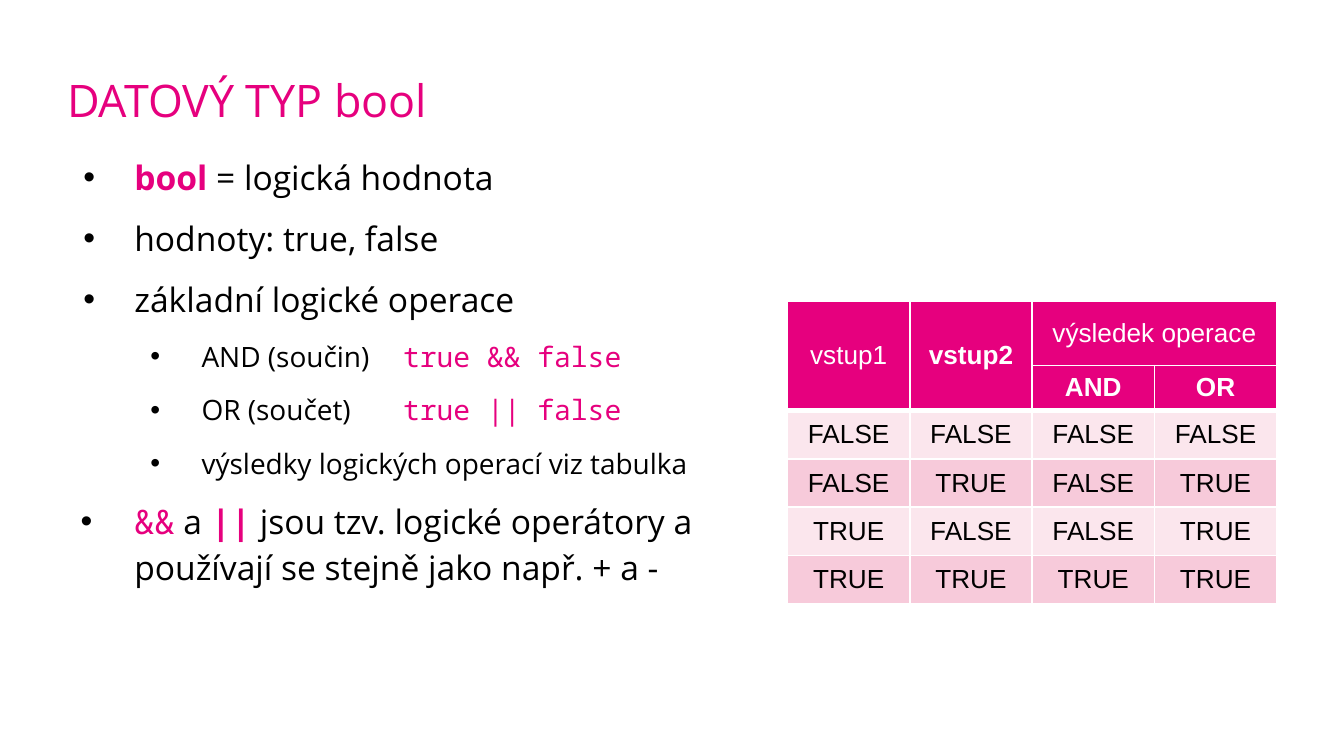
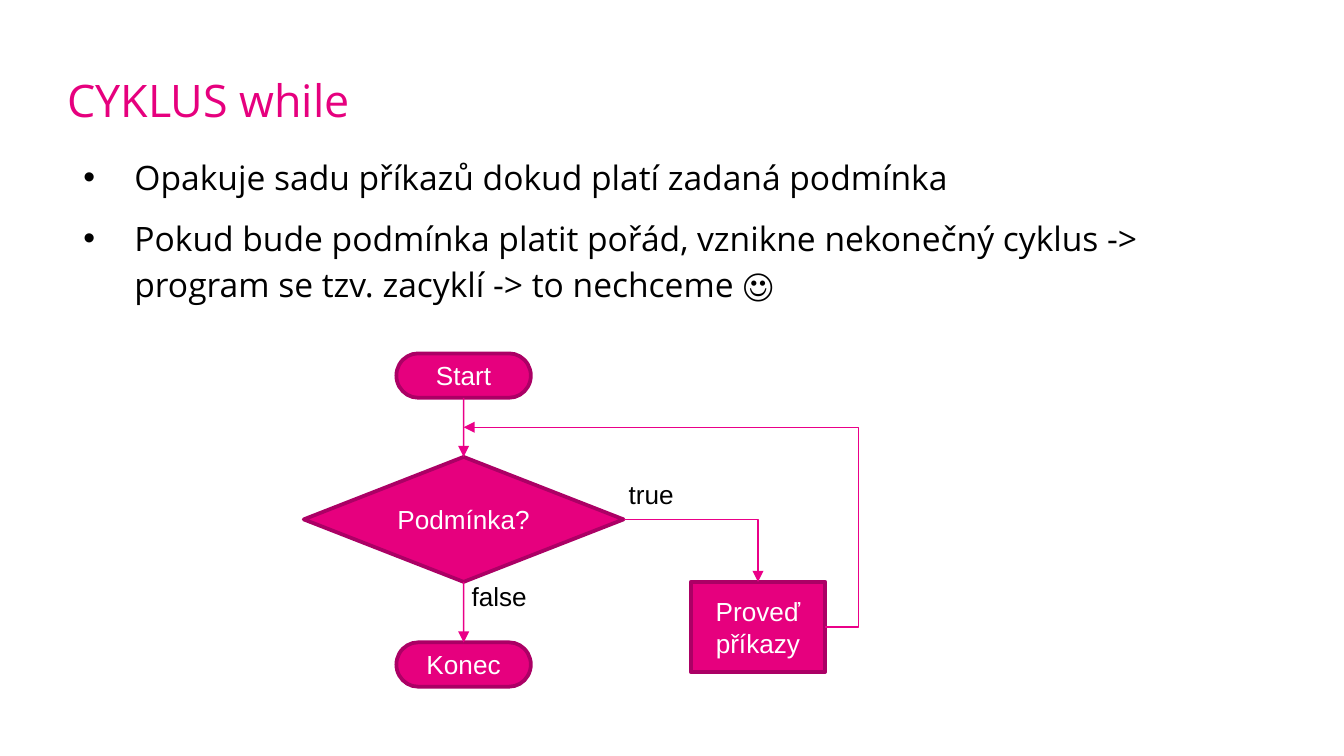
from dataclasses import dataclass

from lxml.etree import SubElement
from pptx import Presentation
from pptx.dml.color import RGBColor
from pptx.enum.shapes import MSO_CONNECTOR, MSO_SHAPE
from pptx.enum.text import MSO_ANCHOR, MSO_AUTO_SIZE, PP_ALIGN
from pptx.oxml.ns import qn
from pptx.util import Inches, Pt


@dataclass(frozen=True)
class Theme:
    pink: str = "E6007E"
    outline: str = "AB0065"
    arrow: str = "EA0088"
    band_light: str = "FBE6ED"
    band_dark: str = "F7CADA"
    black: str = "000000"
    white: str = "FFFFFF"
    sans: str = "Open Sans"
    mono: str = "Noto Sans Mono"
    plain: str = "Arial"
    title: int = 24
    body: int = 18
    detail: int = 15
    label: int = 14
    line_spacing: float = 1.15
    space_before: int = 8


THEME = Theme()
UNIT = 0.1  # one grid column or row, in inches: the slide has 100 columns


@dataclass(frozen=True)
class Box:
    """A region measured in grid columns and rows."""
    left: float
    top: float
    width: float
    height: float

    def inner(self, left, top, width, height):
        return Box(self.left + left, self.top + top, width, height)

    def point(self, column, row):
        return grid(self.left + column), grid(self.top + row)

    def place(self):
        return [grid(v) for v in (self.left, self.top, self.width, self.height)]


TITLE_BOX = Box(5, 4.8, 90.1, 5)
WIDE_BODY = Box(5, 11.2, 90.1, 36.8)
HALF_BODY = Box(5, 11.2, 48.3, 36.8)
TABLE_BOX = Box(58.6, 22.4, 36.4, 22.3)
FLOW_BOX = Box(22.6, 26.3, 41.3, 24.8)

# Text formats
TITLE = dict(name=THEME.sans, size=THEME.title, color=THEME.pink)
BODY = dict(name=THEME.sans, size=THEME.body, color=THEME.black)
KEYWORD = BODY | dict(color=THEME.pink, bold=True)
CODE = BODY | dict(name=THEME.mono, color=THEME.pink)
CODE_BOLD = CODE | dict(bold=True)
DETAIL = BODY | dict(size=THEME.detail)
DETAIL_CODE = CODE | dict(size=THEME.detail)
LABEL = dict(name=THEME.plain, size=THEME.label, color=THEME.black)
LABEL_WHITE = LABEL | dict(color=THEME.white)


def grid(count):
    return Inches(round(count * UNIT, 3))


def color(value):
    return RGBColor.from_string(value)


def add_span(para, text, formats):
    span = para.add_run()
    span.text = text
    for key, value in formats.items():
        if key == "color":
            span.font.color.rgb = color(value)
        else:
            setattr(span.font, key, Pt(value) if key == "size" else value)


def set_frame(frame, insets, **formats):
    sides = ("margin_left", "margin_top", "margin_right", "margin_bottom")
    formats |= dict(zip(sides, map(Inches, insets)))
    for key, value in formats.items():
        setattr(frame, key, value)


def add_text(page, box, insets, **formats):
    frame = page.shapes.add_textbox(*box.place()).text_frame
    set_frame(frame, insets, **formats)
    return frame


def add_title(page, text):
    frame = add_text(page, TITLE_BOX, (0, 0, 0.1, 0.1), word_wrap=True)
    para = frame.paragraphs[0]
    para.line_spacing = THEME.line_spacing
    add_span(para, text, TITLE)


# Bulleted list
def set_bullet(para, level, hang):
    props = para._p.get_or_add_pPr()
    props.set("marL", str(Inches(0.5 * (level + 1))))
    props.set("indent", str(-Inches(hang)))
    SubElement(SubElement(props, qn("a:buClr")), qn("a:srgbClr"), val=THEME.black)
    SubElement(props, qn("a:buFont"), typeface=THEME.plain)
    SubElement(props, qn("a:buChar"), char="•")


def add_bullets(page, box, items):
    """Each item is (level, hanging indent, spans)."""
    frame = add_text(page, box, (0, 0, 0, 0), word_wrap=True)
    for index, (level, hang, spans) in enumerate(items):
        para = frame.add_paragraph() if index else frame.paragraphs[0]
        set_bullet(para, level, hang)
        para.level = level
        para.line_spacing = THEME.line_spacing
        if index:
            para.space_before = Pt(THEME.space_before)
        for text, formats in spans:
            add_span(para, text, formats)


# Truth table
def set_borders(cell, widths):
    props = cell._tc.get_or_add_tcPr()
    for position, (side, width) in enumerate(widths.items()):
        line = props.makeelement(qn(f"a:{side}"), {"w": str(Pt(width))})
        fill = SubElement(line, qn("a:solidFill"))
        SubElement(fill, qn("a:srgbClr"), val=THEME.white)
        props.insert(position, line)


def fill_cell(cell, text, fill, formats, widths, anchor):
    set_frame(cell, (0.1, 0.05, 0.1, 0.05), vertical_anchor=anchor)
    cell.fill.solid()
    cell.fill.fore_color.rgb = color(fill)
    set_borders(cell, widths)
    if text:
        para = cell.text_frame.paragraphs[0]
        para.alignment = PP_ALIGN.CENTER
        add_span(para, text, formats)


def add_truth_table(page, box):
    inputs = [(a, b) for a in (False, True) for b in (False, True)]
    results = [(a, b, a and b, a or b) for a, b in inputs]
    rows = [("vstup1", "vstup2", "výsledek operace", ""), ("", "", "AND", "OR")]
    rows += [[str(value).upper() for value in row] for row in results]
    bold_heads = ("vstup2", "AND", "OR")

    table = page.shapes.add_table(len(rows), 4, *box.place()).table
    for column in table.columns:
        column.width = grid(box.width / 4)
    for row, height in zip(table.rows, [4.8, 3.1] + [3.6] * 4):
        row.height = grid(height)
    for first, last in (((0, 0), (1, 0)), ((0, 1), (1, 1)), ((0, 2), (0, 3))):
        table.cell(*first).merge(table.cell(*last))

    for r, row in enumerate(rows):
        head = r < 2
        for c, text in enumerate(row):
            band = THEME.band_dark if r % 2 else THEME.band_light
            head_end = r == 1 or (r == 0 and c < 2)
            widths = dict(lnL=1, lnR=1, lnT=3 if r == 2 else 1, lnB=3 if head_end else 1)
            formats = LABEL_WHITE | dict(bold=text in bold_heads) if head else LABEL
            anchor = MSO_ANCHOR.TOP if r == 1 else MSO_ANCHOR.MIDDLE
            fill_cell(table.cell(r, c), text, THEME.pink if head else band,
                      formats, widths, anchor)


# Flowchart
def add_step(page, kind, box, text):
    step = page.shapes.add_shape(kind, *box.place())
    step.shadow.inherit = False
    step.fill.solid()
    step.fill.fore_color.rgb = color(THEME.pink)
    step.line.color.rgb = color(THEME.outline)
    step.line.width = Pt(2)
    set_frame(step.text_frame, (0.1, 0.05, 0.1, 0.05), word_wrap=True,
              vertical_anchor=MSO_ANCHOR.MIDDLE)
    para = step.text_frame.paragraphs[0]
    para.alignment = PP_ALIGN.CENTER
    add_span(para, text, LABEL_WHITE)
    return step


def add_arrow(page, kind, start, end):
    arrow = page.shapes.add_connector(kind, *start, *end)
    arrow.line.color.rgb = color(THEME.arrow)
    arrow.line.width = Pt(0.75)
    SubElement(arrow.line._get_or_add_ln(), qn("a:tailEnd"), type="triangle")
    SubElement(arrow._element.spPr, qn("a:effectLst"))
    return arrow


def add_flowchart(page, box):
    axis, step_width, end_height = 11.9, 10, 3.3
    end_left = axis - step_width / 2
    decision_top, decision_height = 7.7, 9.3
    decision_middle = decision_top + decision_height / 2
    decision_bottom = decision_top + decision_height
    work_left, work_height = 28.8, 6.7
    work_right = work_left + step_width
    work_middle = decision_bottom + work_height / 2
    end_top = box.height - end_height
    return_row = (end_height + decision_top) / 2

    # Steps
    ending = MSO_SHAPE.FLOWCHART_TERMINATOR
    start = add_step(page, ending, box.inner(end_left, 0, step_width, end_height), "Start")
    test = add_step(page, MSO_SHAPE.FLOWCHART_DECISION,
                    box.inner(0, decision_top, 2 * axis, decision_height), "Podmínka?")
    work = add_step(page, MSO_SHAPE.FLOWCHART_PROCESS,
                    box.inner(work_left, decision_bottom, step_width, work_height),
                    "Proveď příkazy")
    finish = add_step(page, ending,
                      box.inner(end_left, end_top, step_width, end_height), "Konec")

    # Arrows between steps: connection sites run top, left, bottom, right
    top, bottom, right = 0, 2, 3
    straight, elbow = MSO_CONNECTOR.STRAIGHT, MSO_CONNECTOR.ELBOW
    branch_start = box.point(2 * axis, decision_middle)
    branch_end = box.point(work_left + step_width / 2, decision_bottom)
    links = [
        (straight, box.point(axis, end_height), box.point(axis, decision_top),
         start, bottom, test),
        (straight, box.point(axis, decision_bottom), box.point(axis, end_top),
         test, bottom, finish),
        (elbow, branch_start, branch_end, test, right, work),
    ]
    for kind, begin, end, source, site, target in links:
        arrow = add_arrow(page, kind, begin, end)
        arrow.begin_connect(source, site)
        arrow.end_connect(target, top)
    arrow._element.spPr.find(qn("a:prstGeom")).set("prst", "bentConnector2")

    # Loop back to the line above the decision
    loop = add_arrow(page, elbow, box.point(work_right, work_middle),
                     box.point(axis, return_row))
    loop.begin_connect(work, right)
    shape = loop._element.spPr.find(qn("a:prstGeom"))
    bend = -round((box.width - work_right) / (work_right - axis) * 100000)
    SubElement(shape.get_or_add_avLst(), qn("a:gd"), name="adj1", fmla=f"val {bend}")

    # Branch labels
    for text, spot in (("true", box.inner(23.2, 8.8, 5.4, 3.4)),
                       ("false", box.inner(11.5, 16.4, 6.2, 3.4))):
        frame = add_text(page, spot, (0.1, 0.05, 0.1, 0.05), word_wrap=False,
                         auto_size=MSO_AUTO_SIZE.SHAPE_TO_FIT_TEXT)
        add_span(frame.paragraphs[0], text, LABEL)


# Slides
def build_bool_page(page):
    add_title(page, "DATOVÝ TYP bool")
    add_bullets(page, HALF_BODY, [
        (0, 0.38, [("bool ", KEYWORD), ("= logická hodnota", BODY)]),
        (0, 0.38, [("hodnoty: true, false", BODY)]),
        (0, 0.38, [("základní logické operace", BODY)]),
        (1, 0.38, [("AND (součin)\t", DETAIL), ("true && false", DETAIL_CODE)]),
        (1, 0.38, [("OR (součet)\t", DETAIL), ("true || false", DETAIL_CODE)]),
        (1, 0.38, [("výsledky logických operací viz tabulka", DETAIL)]),
        (0, 0.4, [("&&", CODE), (" a ", BODY), ("||", CODE_BOLD),
                  (" jsou tzv. logické operátory a používají se stejně"
                   " jako např. + a -", BODY)]),
    ])
    add_truth_table(page, TABLE_BOX)


def build_while_page(page):
    add_title(page, "CYKLUS while")
    add_bullets(page, WIDE_BODY, [
        (0, 0.38, [("Opakuje sadu příkazů dokud platí zadaná podmínka", BODY)]),
        (0, 0.38, [("Pokud bude podmínka platit pořád, vznikne nekonečný cyklus ->"
                    " program se tzv. zacyklí -> to nechceme ☺", BODY)]),
    ])
    add_flowchart(page, FLOW_BOX)


def main():
    deck = Presentation()
    deck.slide_width, deck.slide_height = grid(100), grid(56.25)
    for build in (build_bool_page, build_while_page):
        build(deck.slides.add_slide(deck.slide_layouts[6]))
    deck.save("out.pptx")


if __name__ == "__main__":
    main()
